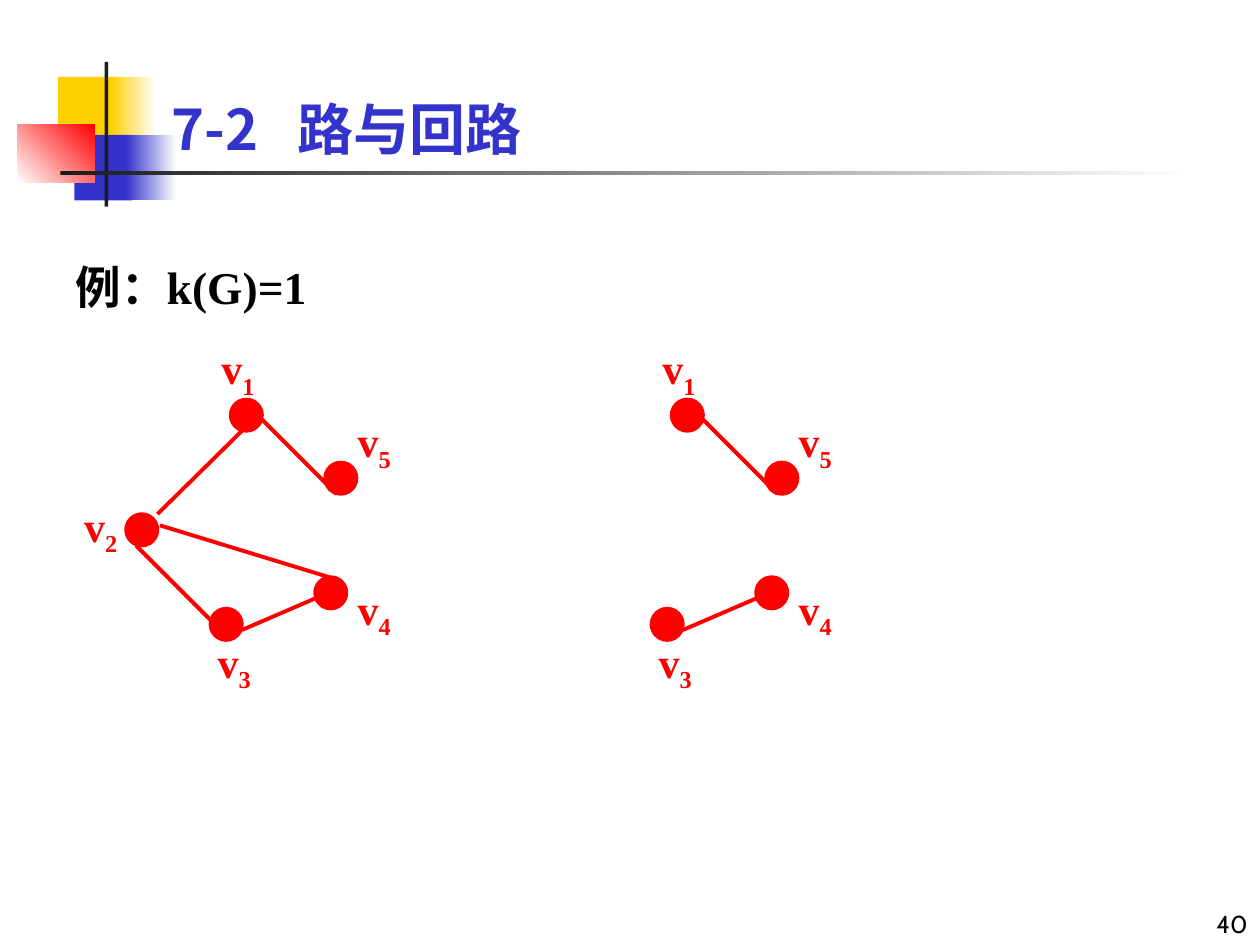
import pptx
import pptx.dml.color
import pptx.enum.shapes
import pptx.enum.text
import pptx.oxml
import pptx.oxml.ns
import pptx.util

Inches = pptx.util.Inches
Pt = pptx.util.Pt
RGBColor = pptx.dml.color.RGBColor
MSO_SHAPE = pptx.enum.shapes.MSO_SHAPE
MSO_ANCHOR = pptx.enum.text.MSO_ANCHOR
PP_ALIGN = pptx.enum.text.PP_ALIGN

BLACK = RGBColor(0x00, 0x00, 0x00)
CHARCOAL = RGBColor(0x1C, 0x1C, 0x1C)
WHITE = RGBColor(0xFF, 0xFF, 0xFF)
RED = RGBColor(0xFF, 0x00, 0x00)
BLUE = RGBColor(0x33, 0x33, 0xCC)
YELLOW = RGBColor(0xFF, 0xCF, 0x01)

SERIF = "Times New Roman"
CJK = "Noto Sans CJK SC"
NUMBER_FONT = "Cabin"

DOT_SIZE = 0.25
LABEL_SIZE = 0.56
# Vertex number: (dot left, dot top, label left, label top) inside the graph box
VERTICES = {
    1: (1.33, 0.5, 1.11, 0),
    2: (0.5, 1.41, 0.02, 1.25),
    3: (1.17, 2.16, 1.08, 2.33),
    4: (2, 1.91, 2.19, 1.91),
    5: (2.08, 1, 2.19, 0.58),
}
# Pair of vertices: (start x, start y, end x, end y) inside the graph box
EDGES = {
    (1, 2): (1.42, 0.75, 0.75, 1.41),
    (1, 5): (2.17, 1.25, 1.58, 0.66),
    (2, 3): (1.17, 2.25, 0.58, 1.66),
    (2, 4): (2.11, 1.91, 0.77, 1.5),
    (3, 4): (2, 2.08, 1.42, 2.33),
}


def place(shape, left, top, width, height):
    shape.left, shape.top = Inches(left), Inches(top)
    shape.width, shape.height = Inches(width), Inches(height)


def add_run(paragraph, text, size, color, font_name, bold=True):
    run = paragraph.add_run()
    run.text = text
    font = run.font
    font.size, font.bold, font.name = Pt(size), bold, font_name
    font.color.rgb = color
    east_asian = pptx.oxml.parse_xml(
        f'<a:ea {pptx.oxml.ns.nsdecls("a")} typeface="{CJK}"/>')
    run.font._element.find(pptx.oxml.ns.qn("a:latin")).addnext(east_asian)
    return run


def add_block(slide, left, top, width, height, start, end=None, angle=0):
    """Add a borderless rectangle, shaded from start to end if end is given."""
    block = slide.shapes.add_shape(
        MSO_SHAPE.RECTANGLE, Inches(left), Inches(top), Inches(width), Inches(height))
    block.shadow.inherit = False
    block.line.fill.background()
    if end is None:
        block.fill.solid()
        block.fill.fore_color.rgb = start
        return
    block.fill.gradient()
    block.fill.gradient_angle = angle
    for stop, color, position in zip(block.fill.gradient_stops, (start, end), (0, 1)):
        stop.color.rgb = color
        stop.position = position


def add_decoration(slide, left, top):
    add_block(slide, left + 0.32, top + 0.12, 0.48, 0.52, YELLOW)
    add_block(slide, left + 0.74, top + 0.12, 0.36, 0.52, YELLOW, WHITE)
    add_block(slide, left + 0.45, top + 0.58, 0.46, 0.52, BLUE)
    add_block(slide, left + 0.86, top + 0.58, 0.4, 0.52, BLUE, WHITE)
    add_block(slide, left, top + 0.5, 0.61, 0.46, WHITE, RED, angle=45)
    add_block(slide, left + 0.69, top, 0.03, 1.15, CHARCOAL)
    add_block(slide, left + 0.34, top + 0.87, 9, 0.03, CHARCOAL, WHITE)


def bring_to_front(shape):
    shape.element.getparent().append(shape.element)


def fill_title(slide, left, top, width, height):
    title = slide.shapes.title
    place(title, left, top, width, height)
    bring_to_front(title)
    frame = title.text_frame
    frame.auto_size = pptx.enum.text.MSO_AUTO_SIZE.NONE
    frame.vertical_anchor = MSO_ANCHOR.BOTTOM
    paragraph = frame.paragraphs[0]
    paragraph.alignment = PP_ALIGN.LEFT
    add_run(paragraph, "7-2\t路与回路", 32, BLUE, CJK)


def fill_body(slide, left, top, width, height):
    body = slide.placeholders[1]
    place(body, left, top, width, height)
    bring_to_front(body)
    frame = body.text_frame
    frame.auto_size = pptx.enum.text.MSO_AUTO_SIZE.NONE
    paragraph = frame.paragraphs[0]
    paragraph.line_spacing = 1.2
    paragraph.space_before = Pt(0)
    properties = paragraph._p.get_or_add_pPr()
    properties.set("marL", str(Inches(0.38)))
    properties.set("indent", str(Inches(-0.38)))
    properties.append(pptx.oxml.parse_xml(f'<a:buNone {pptx.oxml.ns.nsdecls("a")}/>'))
    add_run(paragraph, "例：k(G)=1", 26, BLACK, SERIF)


def add_vertex(group, number, left, top):
    dot_left, dot_top, label_left, label_top = VERTICES[number]
    dot = group.shapes.add_shape(
        MSO_SHAPE.OVAL, Inches(left + dot_left), Inches(top + dot_top),
        Inches(DOT_SIZE), Inches(DOT_SIZE))
    dot.shadow.inherit = False
    dot.fill.solid()
    dot.fill.fore_color.rgb = RED
    dot.line.color.rgb = RED
    dot.line.width = Pt(2)

    label = group.shapes.add_textbox(
        Inches(left + label_left), Inches(top + label_top),
        Inches(LABEL_SIZE), Inches(LABEL_SIZE))
    label.text_frame.word_wrap = True
    paragraph = label.text_frame.paragraphs[0]
    paragraph.alignment = PP_ALIGN.CENTER
    paragraph.space_before = Pt(15)
    add_run(paragraph, "v", 24, RED, SERIF)
    subscript = add_run(paragraph, str(number), 24, RED, SERIF)
    subscript.font._element.set("baseline", "-25000")


def add_edge(group, ends, left, top):
    start_x, start_y, end_x, end_y = ends
    edge = group.shapes.add_connector(
        pptx.enum.shapes.MSO_CONNECTOR.STRAIGHT,
        Inches(left + start_x), Inches(top + start_y),
        Inches(left + end_x), Inches(top + end_y))
    edge.line.color.rgb = RED
    edge.line.width = Pt(2.25)
    edge.element.spPr.append(
        pptx.oxml.parse_xml(f'<a:effectLst {pptx.oxml.ns.nsdecls("a")}/>'))


def add_graph(slide, left, top, numbers):
    """Add the subgraph that the given vertices induce."""
    group = slide.shapes.add_group_shape()
    for pair, ends in EDGES.items():
        if set(pair) <= set(numbers):
            add_edge(group, ends, left, top)
    for number in numbers:
        add_vertex(group, number, left, top)


def add_slide_number(slide, left, top, width, height):
    box = slide.shapes.add_textbox(
        Inches(left), Inches(top), Inches(width), Inches(height))
    frame = box.text_frame
    frame.word_wrap = True
    frame.vertical_anchor = MSO_ANCHOR.BOTTOM
    frame.paragraphs[0].alignment = PP_ALIGN.RIGHT
    add_run(frame.paragraphs[0], "40", 14, BLACK, NUMBER_FONT, bold=False)


def main():
    presentation = pptx.Presentation()
    presentation.slide_width, presentation.slide_height = Inches(10), Inches(7.5)
    slide = presentation.slides.add_slide(presentation.slide_layouts[1])
    add_decoration(slide, 0.14, 0.49)
    add_slide_number(slide, 7.92, 7, 2.08, 0.5)
    fill_title(slide, 1.26, 0.08, 8.52, 1.25)
    add_graph(slide, 0.5, 2.67, (1, 2, 3, 4, 5))
    add_graph(slide, 4, 2.67, (1, 3, 4, 5))
    fill_body(slide, 0.5, 1.92, 8.5, 4.5)
    presentation.save("out.pptx")


if __name__ == "__main__":
    main()
